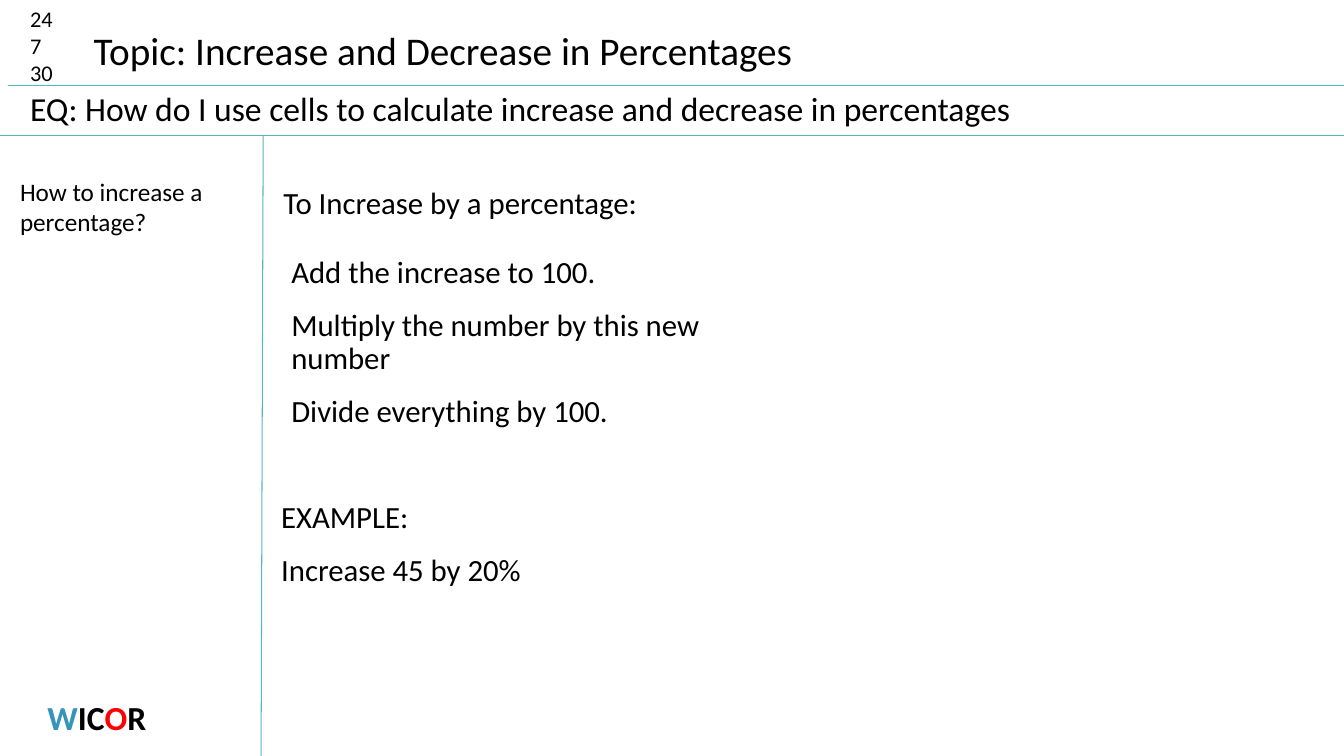
from dataclasses import dataclass

from lxml import etree
from pptx import Presentation
from pptx.dml.color import RGBColor
from pptx.enum import shapes, text
from pptx.oxml import ns
from pptx.util import Pt


@dataclass(frozen=True)
class Theme:
    """Colours, font and type sizes of the notes page."""
    font: str = "Calibri"
    ink: str = "000000"
    rule: str = "58B6C0"
    blue: str = "3494BA"
    red: str = "FF0000"
    topic: int = 28
    question: int = 24
    notes: int = 22
    cue: int = 18
    date: int = 16


THEME = Theme()
WIDTH, HEIGHT = 960, 540
HEADER_HEIGHT = 96.5
CUE_WIDTH = 188


def style(paragraph, size, bold=False):
    """Give a paragraph the theme font and ink at the given size."""
    paragraph.font.name = THEME.font
    paragraph.font.size = Pt(size)
    paragraph.font.bold = bold
    paragraph.font.color.rgb = RGBColor.from_string(THEME.ink)


def place(shape, left, top, width, height):
    """Move a shape to a box given in points."""
    shape.left, shape.top = Pt(left), Pt(top)
    shape.width, shape.height = Pt(width), Pt(height)


def write(shape, lines, size, wrap=True):
    """Fill a shape with top-anchored, left-aligned lines and return its paragraphs."""
    frame = shape.text_frame
    frame.text = "\n".join(lines)
    frame.word_wrap = wrap
    frame.auto_size = text.MSO_AUTO_SIZE.NONE
    frame.vertical_anchor = text.MSO_ANCHOR.TOP
    for paragraph in frame.paragraphs:
        paragraph.alignment = text.PP_ALIGN.LEFT
        style(paragraph, size)
    return frame.paragraphs


def add_text(slide, box, lines, size):
    """Add a wrapping text box and return its paragraphs."""
    return write(slide.shapes.add_textbox(*map(Pt, box)), lines, size)


def add_rule(slide, start, end):
    """Draw a thin rule between two points."""
    line = slide.shapes.add_connector(
        shapes.MSO_CONNECTOR.STRAIGHT, *map(Pt, start + end))
    line.line.color.rgb = RGBColor.from_string(THEME.rule)
    line.line.width = Pt(0.75)
    etree.SubElement(line._element.spPr, ns.qn("a:effectLst"))


def write_notes(shape, lines, indented):
    """Write spaced note lines without bullets, indenting the first ones."""
    shape.text_frame.text = "\n".join(lines)
    for index, paragraph in enumerate(shape.text_frame.paragraphs):
        properties = paragraph._p.get_or_add_pPr()
        properties.set("marL", str(Pt(7.2 if index < indented else 0)))
        properties.set("indent", "0")
        etree.SubElement(properties, ns.qn("a:buNone"))
        paragraph.line_spacing = 0.9
        paragraph.space_before = Pt(12 if index else 0)
        paragraph.space_after = Pt(2)
        paragraph.alignment = text.PP_ALIGN.LEFT
        style(paragraph, THEME.notes)
    shape.text_frame.word_wrap = True
    shape.text_frame.auto_size = text.MSO_AUTO_SIZE.NONE
    shape.text_frame.vertical_anchor = text.MSO_ANCHOR.TOP
    return shape.text_frame.paragraphs


def build_header(slide, left, top, width, height):
    """Place the date, topic and essential question above two rules."""
    add_rule(slide, (left + 6, top + 61), (left + width, top + 61))
    add_rule(slide, (left, top + height), (left + width, top + height))
    add_text(slide, (left + 14.4, top, 45, 65.5), ["24", "7", "30"], THEME.date)
    place(slide.shapes.title, left + 59.6, top + 15.4, 519, 41)
    write(slide.shapes.title, ["Topic: Increase and Decrease in Percentages"],
          THEME.topic, wrap=False)
    add_text(slide, (left + 14.4, top + 59.2, 838, 36),
             ["EQ: How do I use cells to calculate increase and decrease in percentages"],
             THEME.question)


def build_cues(slide, left, top, width, height):
    """Place the cue question and the lettered mark beside the column rule."""
    add_rule(slide, (left + width, top), (left + width - 1.5, top + height))
    add_text(slide, (left + 7.2, top + 25.9, 154, 51),
             ["How to increase a percentage?"], THEME.cue)
    mark, = add_text(slide, (left - 10.8, top + height - 46, 160, 36), [""],
                     THEME.question)
    mark.alignment = text.PP_ALIGN.CENTER
    style(mark, THEME.question, bold=True)
    for letters, color in (("W", THEME.blue), ("IC", THEME.ink),
                           ("O", THEME.red), ("R", THEME.ink)):
        run = mark.add_run()
        run.text = letters
        run.font.color.rgb = RGBColor.from_string(color)


def build_notes(slide, left, top, width, height):
    """Place the method heading, its steps and the example."""
    heading, steps = slide.placeholders[1], slide.placeholders[2]
    place(heading, left, top + 33.8, 411, 65)
    write_notes(heading, ["To Increase by a percentage:"], indented=1)
    place(steps, left + 5.7, top + 83.5, 350, 339)
    lines = write_notes(steps, [
        "Add the increase to 100.",
        "Multiply the number by this new number",
        "Divide everything by 100.",
        "EXAMPLE:",
        "Increase 45 by 20%",
    ], indented=3)
    lines[3].space_before = Pt(50)


def main():
    """Build the notes page and save it."""
    presentation = Presentation()
    presentation.slide_width, presentation.slide_height = Pt(WIDTH), Pt(HEIGHT)
    slide = presentation.slides.add_slide(
        presentation.slide_layouts.get_by_name("Two Content"))
    body_height = HEIGHT - HEADER_HEIGHT
    build_header(slide, 0, 0, WIDTH, HEADER_HEIGHT)
    build_cues(slide, 0, HEADER_HEIGHT, CUE_WIDTH, body_height)
    build_notes(slide, CUE_WIDTH, HEADER_HEIGHT, WIDTH - CUE_WIDTH, body_height)
    presentation.save("out.pptx")


if __name__ == "__main__":
    main()
